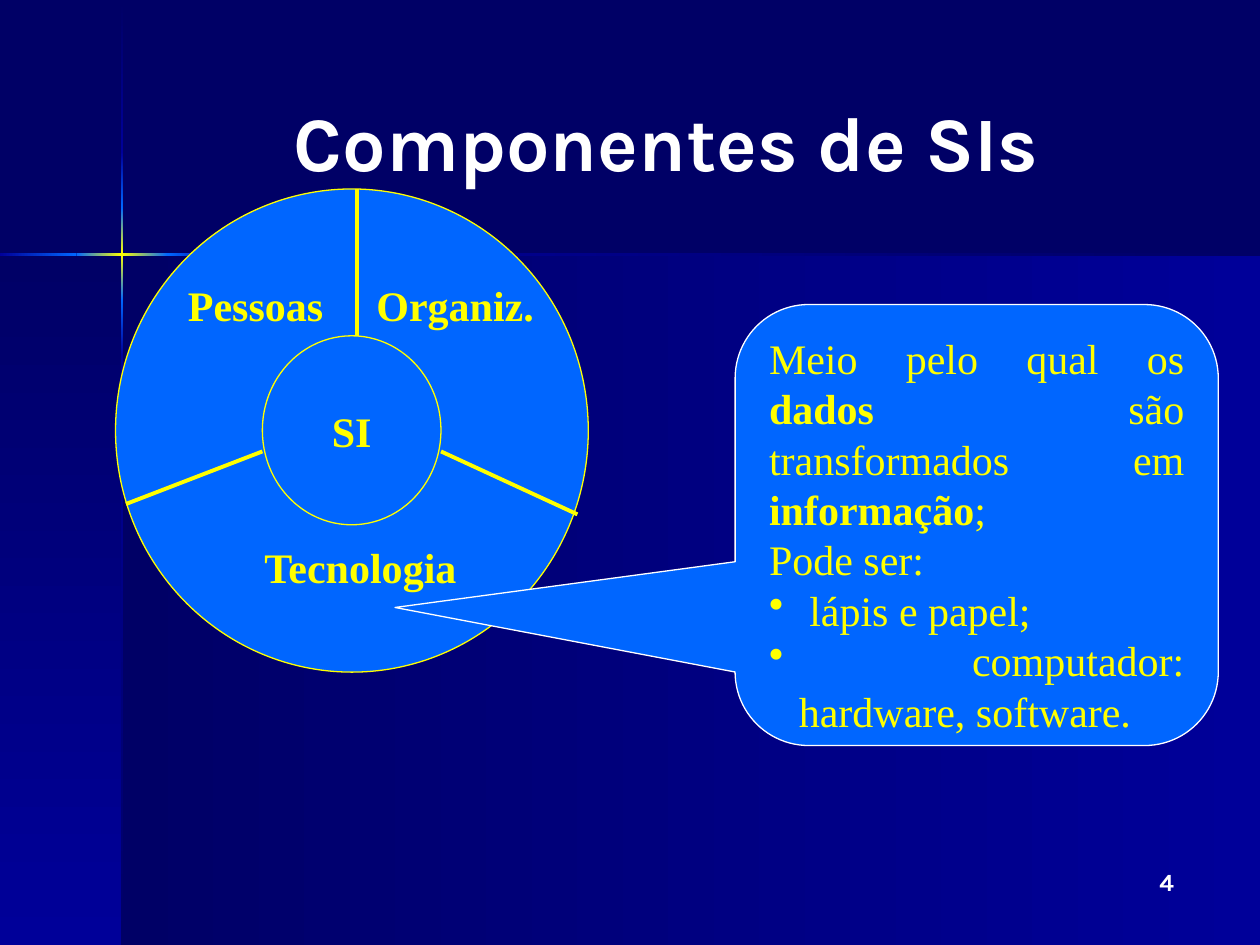
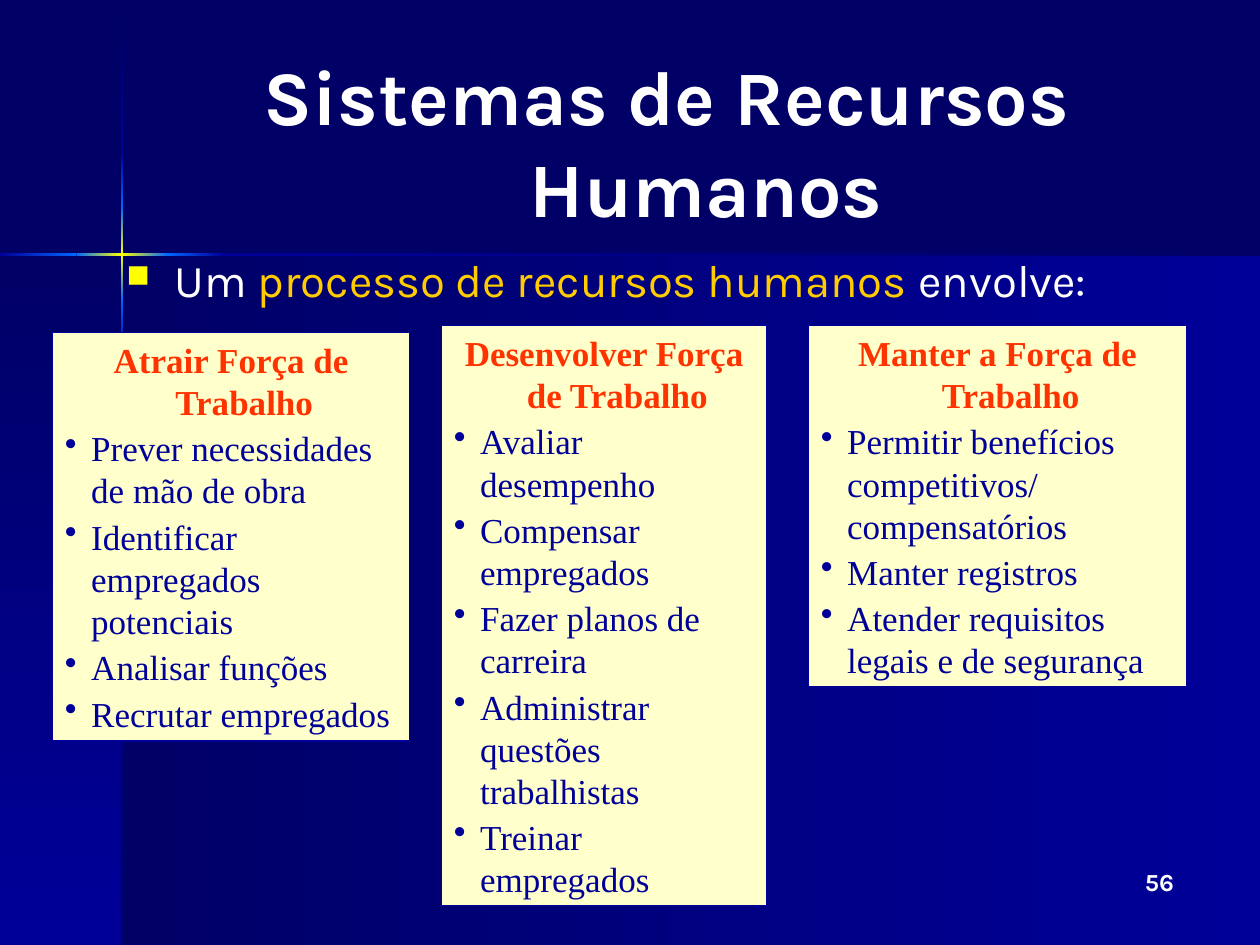
from dataclasses import dataclass
from itertools import pairwise

from lxml import etree
from pptx import Presentation
from pptx.dml.color import RGBColor
from pptx.enum.shapes import MSO_CONNECTOR, MSO_SHAPE
from pptx.enum.text import MSO_ANCHOR, MSO_AUTO_SIZE, PP_ALIGN
from pptx.oxml.ns import qn
from pptx.util import Cm, Pt

RECTANGLE, OVAL = MSO_SHAPE.RECTANGLE, MSO_SHAPE.OVAL
CALLOUT = MSO_SHAPE.ROUNDED_RECTANGULAR_CALLOUT
STRAIGHT = MSO_CONNECTOR.STRAIGHT
LEFT, CENTER, RIGHT, JUSTIFY = PP_ALIGN.LEFT, PP_ALIGN.CENTER, PP_ALIGN.RIGHT, PP_ALIGN.JUSTIFY
TOP, MIDDLE = MSO_ANCHOR.TOP, MSO_ANCHOR.MIDDLE


@dataclass(frozen=True)
class Theme:
    night: str = "000066"
    royal: str = "000099"
    azure: str = "0066FF"
    yellow: str = "FFFF00"
    gold: str = "FFCC00"
    cream: str = "FFFFCC"
    red: str = "FF3300"
    white: str = "FFFFFF"
    sans: str = "Karla"
    serif: str = "Times New Roman"
    title_size: float = 44
    lead_size: float = 26
    diagram_size: float = 24
    card_size: float = 20
    number_size: float = 14
    line_pitch: float = 1.2
    thin: float = 0.75
    thick: float = 2.25


THEME = Theme()

# Page frame, in centimetres
WIDTH, HEIGHT = 25.4, 19.05
CROSS_X, CROSS_Y = 2.46, 5.13
HAIRLINE = 0.05
TITLE_AREA = (2.96, 0.85, 20.96, 3.98)
NUMBER_AREA = (18.63, 17.36, 5.29, 1.27)

# Colours met along each arm of the glowing cross
VERTICAL_GLOW = [(0.03, THEME.night), (3.07, THEME.royal), (4.19, THEME.azure),
                 (5.12, THEME.yellow), (6.05, THEME.azure), (7.16, THEME.royal),
                 (HEIGHT, THEME.night)]
HORIZONTAL_GLOW = [(0, THEME.royal), (1.54, THEME.azure), (2.45, THEME.yellow),
                   (3.38, THEME.azure), (4.5, THEME.royal), (WIDTH, THEME.night)]

# Components slide
WHEEL_AREA = (2.33, 3.81, 9.53, 9.74)
HUB_AREA = (5.29, 6.77, 3.6, 3.81)
SPOKES = [(7.2, 3.81, 7.2, 6.77), (5.29, 9.1, 2.54, 10.16), (8.89, 9.1, 11.64, 10.37)]
WHEEL_LABELS = [
    ("Pessoas", (3.54, 5.5, 3.22, 1.27)),
    ("Organiz.", (7.34, 5.5, 3.68, 1.27)),
    ("Tecnologia", (5.08, 10.8, 4.45, 1.27)),
]
CALLOUT_AREA = (14.82, 6.14, 9.74, 8.89)
CALLOUT_SHAPE = (-1.204, 0.187, 0.167)
DEFINITION = [("Meio pelo qual os ", False), ("dados", True), (" são transformados em ", False),
              ("informação", True), (";", False)]
EXAMPLES_LEAD = "Pode ser:"
EXAMPLES = [" lápis e papel;", " computador: hardware, software."]

# Human resources slide
LEAD_AREA = (2.3, 4.96, 21.6, 2.76)
LEAD = [("Um ", THEME.white), ("processo de recursos humanos", THEME.gold),
        (" envolve:", THEME.white)]
CARDS = [
    ("Desenvolver Força de Trabalho", (8.9, 6.56, 6.56, 11.7),
     ["Avaliar desempenho", "Compensar empregados", "Fazer planos de carreira",
      "Administrar questões trabalhistas", "Treinar empregados"]),
    ("Manter a Força de Trabalho", (16.3, 6.56, 7.62, 7.28),
     ["Permitir benefícios competitivos/ compensatórios", "Manter registros",
      "Atender requisitos legais e de segurança"]),
    ("Atrair Força de Trabalho", (1.06, 6.7, 7.2, 8.24),
     ["Prever necessidades de mão de obra", "Identificar empregados potenciais",
      "Analisar funções", "Recrutar empregados"]),
]


def rgb(colour):
    return RGBColor.from_string(colour)


def lengths(area):
    return [Cm(value) for value in area]


def add_bullet(para, symbol, colour, percent=100):
    properties = para._p.get_or_add_pPr()
    fill = etree.SubElement(properties, qn("a:buClr"))
    etree.SubElement(fill, qn("a:srgbClr"), val=colour)
    etree.SubElement(properties, qn("a:buSzPct"), val=str(percent * 1000))
    etree.SubElement(properties, qn("a:buChar"), char=symbol)


def add_para(frame, spans, size, font, align=LEFT, bullet=None, indent=0, before=0):
    """Write one paragraph; spans are (text, colour, bold) and bullet is (symbol, colour, percent)."""
    first = frame.paragraphs[0]
    para = frame.add_paragraph() if first.runs else first
    if bullet:
        add_bullet(para, *bullet)
    if indent:
        properties = para._p.get_or_add_pPr()
        properties.set("marL", str(Cm(indent)))
        properties.set("indent", str(-Cm(indent)))
    para.alignment = align
    para.line_spacing = Pt(size * THEME.line_pitch)
    if before:
        para.space_before = Pt(before)
    for text, colour, bold in spans:
        span = para.add_run()
        span.text = text
        span.font.name = font
        span.font.size = Pt(size)
        span.font.bold = bold
        span.font.color.rgb = rgb(colour)


def prepare_frame(box, anchor=TOP, wrap=True):
    frame = box.text_frame
    frame.auto_size = MSO_AUTO_SIZE.NONE
    frame.word_wrap = wrap
    frame.vertical_anchor = anchor
    return frame


def add_text_frame(page, area, wrap=True):
    return prepare_frame(page.shapes.add_textbox(*lengths(area)), wrap=wrap)


def add_solid(page, kind, area, fill, line):
    box = page.shapes.add_shape(kind, *lengths(area))
    box.shadow.inherit = False
    box.fill.solid()
    box.fill.fore_color.rgb = rgb(fill)
    box.line.color.rgb = rgb(line)
    box.line.width = Pt(THEME.thin)
    return box


def add_spoke(page, ends):
    spoke = page.shapes.add_connector(STRAIGHT, *lengths(ends))
    spoke.line.color.rgb = rgb(THEME.yellow)
    spoke.line.width = Pt(THEME.thick)
    etree.SubElement(spoke._element.spPr, qn("a:effectLst"))


def add_gradient(page, layout, area, start, end, downward):
    """Draw a gradient band and place it on the layout, behind every page."""
    band = page.shapes.add_shape(RECTANGLE, *lengths(area))
    band.shadow.inherit = False
    band.line.fill.background()
    band.fill.gradient()
    band.fill.gradient_angle = 270 if downward else 0
    for stop, colour in zip(band.fill.gradient_stops, (start, end)):
        stop.color.rgb = rgb(colour)
    layout.shapes.element.append(band.element)


def decorate_layout(page, layout):
    below = HEIGHT - CROSS_Y
    add_gradient(page, layout, (CROSS_X, CROSS_Y, WIDTH - CROSS_X, below),
                 THEME.night, THEME.royal, False)
    add_gradient(page, layout, (0, CROSS_Y, CROSS_X, below), THEME.night, THEME.royal, True)
    for (start, colour), (end, next_colour) in pairwise(VERTICAL_GLOW):
        area = (CROSS_X - HAIRLINE / 2, start, HAIRLINE, end - start)
        add_gradient(page, layout, area, colour, next_colour, True)
    for (start, colour), (end, next_colour) in pairwise(HORIZONTAL_GLOW):
        area = (start, CROSS_Y - HAIRLINE / 2, end - start, HAIRLINE)
        add_gradient(page, layout, area, colour, next_colour, False)


def add_page(deck, layout, title, number, title_indent=0):
    page = deck.slides.add_slide(layout)
    box = page.shapes.title
    box.left, box.top, box.width, box.height = lengths(TITLE_AREA)
    add_para(prepare_frame(box, MIDDLE), [(title, THEME.white, True)],
             THEME.title_size, THEME.sans, CENTER, indent=title_indent)
    add_para(add_text_frame(page, NUMBER_AREA), [(number, THEME.white, True)],
             THEME.number_size, THEME.sans, RIGHT)
    return page


def fill_components(page):
    style = (THEME.diagram_size, THEME.serif)
    add_solid(page, OVAL, WHEEL_AREA, THEME.azure, THEME.yellow)
    hub = add_solid(page, OVAL, HUB_AREA, THEME.azure, THEME.yellow)
    add_para(prepare_frame(hub, MIDDLE, wrap=False), [("SI", THEME.yellow, True)], *style, CENTER)
    for ends in SPOKES:
        add_spoke(page, ends)
    for label, area in WHEEL_LABELS:
        add_para(add_text_frame(page, area, wrap=False), [(label, THEME.yellow, True)], *style)

    callout = add_solid(page, CALLOUT, CALLOUT_AREA, THEME.azure, THEME.white)
    for index, value in enumerate(CALLOUT_SHAPE):
        callout.adjustments[index] = value
    frame = prepare_frame(callout)
    add_para(frame, [(text, THEME.yellow, bold) for text, bold in DEFINITION], *style, JUSTIFY)
    add_para(frame, [(EXAMPLES_LEAD, THEME.yellow, False)], *style, JUSTIFY)
    for example in EXAMPLES:
        add_para(frame, [(example, THEME.yellow, False)], *style, JUSTIFY,
                 bullet=("•", THEME.yellow), indent=0.6)


def fill_human_resources(page):
    add_para(add_text_frame(page, LEAD_AREA), [(text, colour, False) for text, colour in LEAD],
             THEME.lead_size, THEME.sans, bullet=("■", THEME.yellow, 70), indent=0.97)
    style = (THEME.card_size, THEME.serif)
    for heading, area, tasks in CARDS:
        frame = prepare_frame(add_solid(page, RECTANGLE, area, THEME.cream, THEME.royal))
        add_para(frame, [(heading, THEME.red, True)], *style, CENTER, indent=0.53)
        for task in tasks:
            add_para(frame, [(task, THEME.royal, False)], *style,
                     bullet=("•", THEME.royal), indent=0.53, before=2.5)


def main():
    deck = Presentation()
    deck.slide_width, deck.slide_height = Cm(WIDTH), Cm(HEIGHT)
    background = deck.slide_master.background.fill
    background.solid()
    background.fore_color.rgb = rgb(THEME.night)
    layout = deck.slide_layouts.get_by_name("Title Only")

    components = add_page(deck, layout, "Componentes de SIs", "4")
    decorate_layout(components, layout)
    fill_components(components)
    fill_human_resources(
        add_page(deck, layout, "Sistemas de Recursos Humanos", "56", title_indent=1.6))
    deck.save("out.pptx")


if __name__ == "__main__":
    main()
